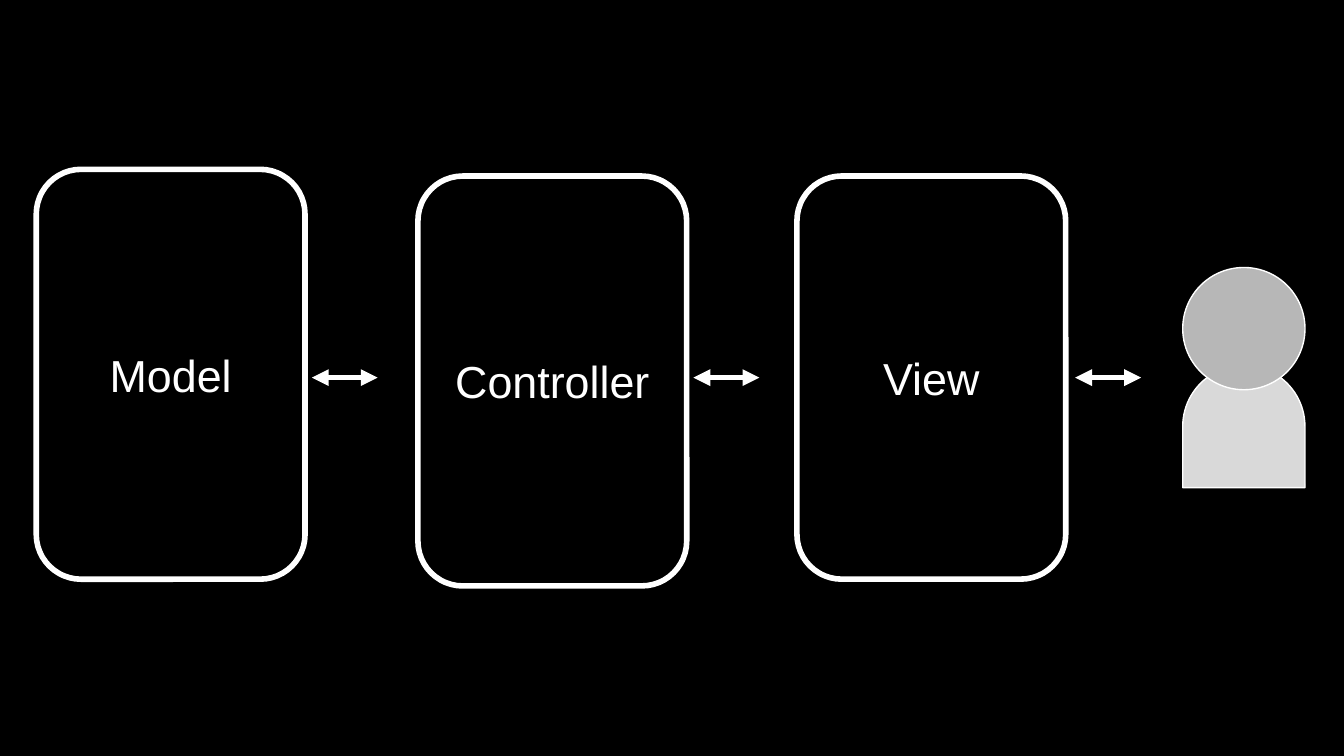
from lxml.etree import SubElement
from pptx import Presentation
from pptx.dml.color import RGBColor
from pptx.enum.shapes import MSO_CONNECTOR, MSO_SHAPE
from pptx.enum.text import MSO_ANCHOR, PP_ALIGN
from pptx.oxml.ns import qn
from pptx.util import Inches, Pt

WHITE = "FFFFFF"
FRAME = dict(
    word_wrap=True, vertical_anchor=MSO_ANCHOR.MIDDLE,
    margin_left=Inches(0.1), margin_right=Inches(0.1),
    margin_top=Inches(0.1), margin_bottom=Inches(0.1),
)
FONT = dict(name="Arial", size=Pt(24))


def color(text):
    return RGBColor.from_string(text)


def apply(item, style):
    for key, value in style.items():
        setattr(item, key, value)


class Deck:
    """Holds the line and text style and draws on the current slide."""

    def __init__(self, wide, high):
        self.show = Presentation()
        apply(self.show, dict(slide_width=Inches(wide), slide_height=Inches(high)))
        self.slide = self.show.slides.add_slide(self.show.slide_layouts[6])
        fill = self.slide.background.fill
        fill.solid()
        fill.fore_color.rgb = color("000000")

    def outline(self, item, width):
        item.line.color.rgb = color(WHITE)
        item.line.width = Pt(width)

    def shape(self, kind, place, width, fill=None, adjust=()):
        item = self.slide.shapes.add_shape(kind, *map(Inches, place))
        item.shadow.inherit = False
        for i, value in enumerate(adjust):
            item.adjustments[i] = value
        if fill:
            item.fill.solid()
            item.fill.fore_color.rgb = color(fill)
        else:
            item.fill.background()
        self.outline(item, width)
        return item

    def box(self, label, place):
        item = self.shape(MSO_SHAPE.ROUNDED_RECTANGLE, place, 3, adjust=[0.167])
        frame = item.text_frame
        apply(frame, FRAME)
        para = frame.paragraphs[0]
        para.text = label
        para.alignment = PP_ALIGN.CENTER
        apply(para.font, FONT)
        para.font.color.rgb = color(WHITE)

    def arrow(self, left, right, y):
        ends = map(Inches, (right, y, left, y))
        item = self.slide.shapes.add_connector(MSO_CONNECTOR.STRAIGHT, *ends)
        self.outline(item, 3)
        props = item._element.spPr
        line = props.find(qn("a:ln"))
        for end in ("a:headEnd", "a:tailEnd"):
            SubElement(line, qn(end), type="triangle")
        SubElement(props, qn("a:effectLst"))

    def user(self, left, top, size):
        body = (left, top + 0.8 * size, size, size)
        self.shape(MSO_SHAPE.ROUND_2_SAME_RECTANGLE, body, 0.75, "D9D9D9", [0.5, 0])
        self.shape(MSO_SHAPE.OVAL, (left, top, size, size), 0.75, "B7B7B7")


def main():
    deck = Deck(10, 10 * 9 / 16)
    deck.box("Controller", (3.11, 1.31, 2, 3.05))
    deck.box("View", (5.93, 1.31, 2, 3))
    deck.box("Model", (0.27, 1.26, 2, 3.05))
    deck.user(8.8, 1.99, 0.91)
    for left in (8, 5.16, 2.32):
        deck.arrow(left, left + 0.49, 2.81)
    deck.show.save("out.pptx")


if __name__ == "__main__":
    main()
